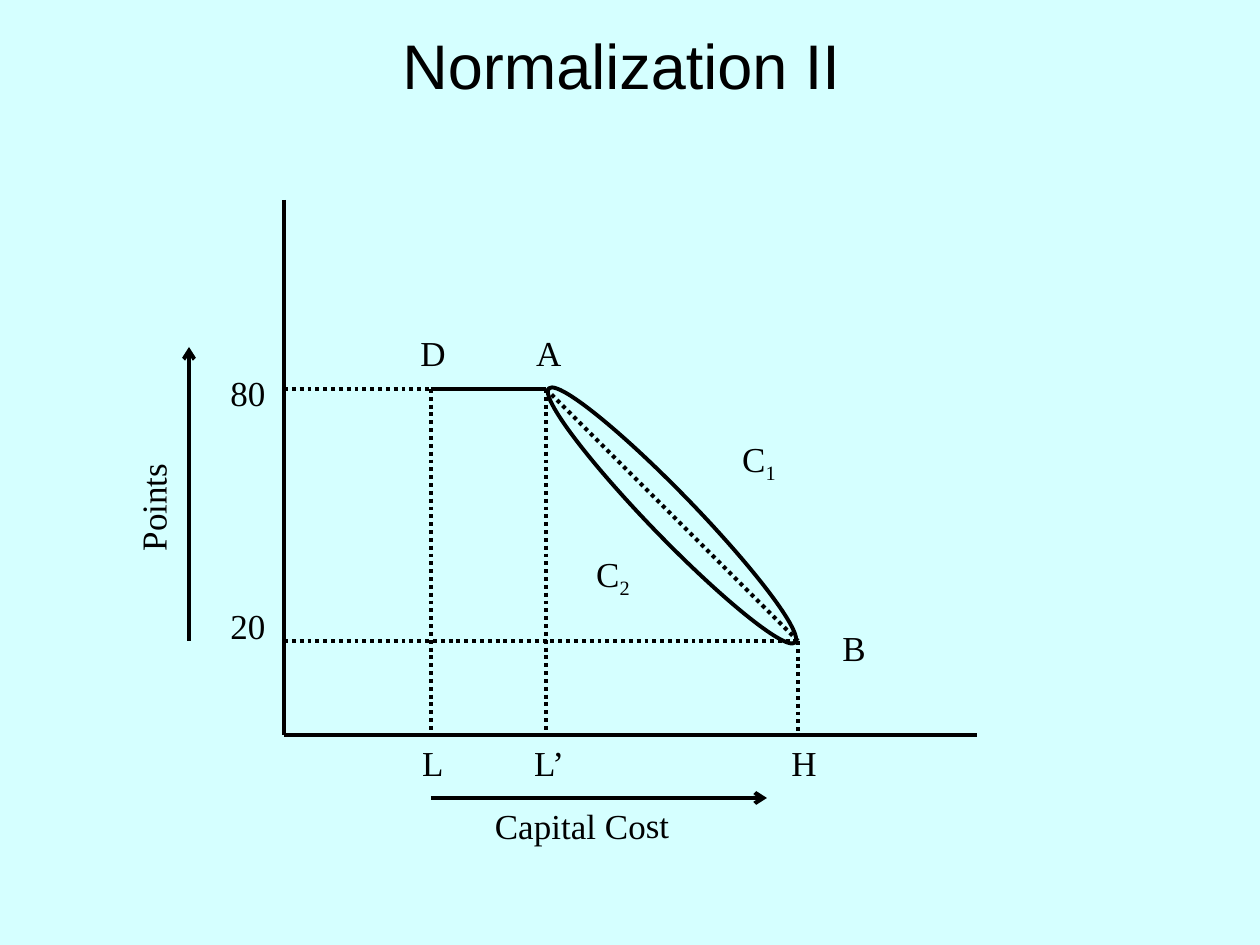
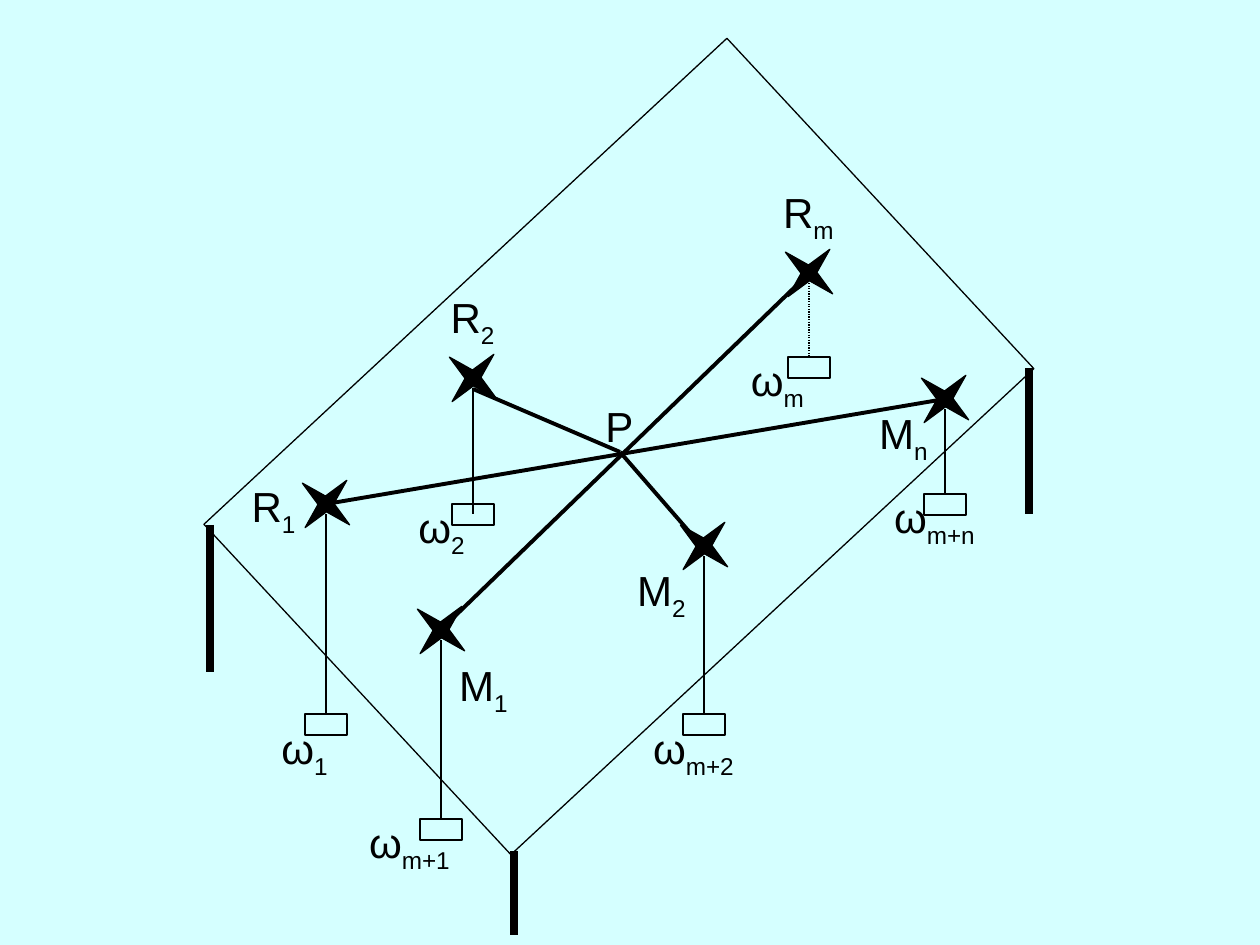
"""Build two diagram slides: a normalization chart and a weighted table."""
from dataclasses import dataclass
from itertools import pairwise

from lxml import etree
from pptx import Presentation
from pptx import util as u
from pptx.dml.color import RGBColor
from pptx.enum import dml, shapes, text
from pptx.oxml import ns


@dataclass(frozen=True)
class Theme:
    background: RGBColor = RGBColor(0xD5, 0xFF, 0xFF)
    ink: RGBColor = RGBColor(0, 0, 0)
    sans: str = "Arial"
    serif: str = "Times New Roman"
    title_size: int = 36
    chart_size: int = 20
    table_size: int = 24
    thin: float = 0.74
    medium: float = 2.24
    thick: float = 4.51


theme = Theme()
PX = u.Inches(1) / 126


def draw_line(page, x1, y1, x2, y2, width, dotted=False, arrow=False):
    line = page.shapes.add_connector(
        shapes.MSO_CONNECTOR.STRAIGHT, *[round(v * PX) for v in (x1, y1, x2, y2)])
    line.line.color.rgb = theme.ink
    line.line.width = u.Pt(width)
    if dotted:
        line.line.dash_style = dml.MSO_LINE.ROUND_DOT
    if arrow:
        outline = line.line._get_or_add_ln()
        etree.SubElement(outline, ns.qn("a:tailEnd"), type="arrow")
    etree.SubElement(line._element.spPr, ns.qn("a:effectLst"))


def add_label(page, x, y, width, height, words, font, size, anchor, subscript="", rotation=0):
    box = page.shapes.add_shape(
        shapes.MSO_SHAPE.RECTANGLE, *[round(v * PX) for v in (x, y, width, height)])
    box.shadow.inherit = False
    box.fill.background()
    box.line.fill.background()
    box.rotation = rotation
    box.text_frame.word_wrap = False
    box.text_frame.vertical_anchor = anchor
    para = box.text_frame.paragraphs[0]
    para.alignment = text.PP_ALIGN.CENTER
    for part in filter(None, (words, subscript)):
        span = para.add_run()
        span.text = part
        span.font.name = font
        span.font.size = u.Pt(size)
        span.font.color.rgb = theme.ink
    if subscript:
        span._r.get_or_add_rPr().set("baseline", "-25000")


deck = Presentation()
deck.slide_width, deck.slide_height = u.Inches(10), u.Inches(7.5)
fill = deck.slide_master.background.fill
fill.solid()
fill.fore_color.rgb = theme.background

page = deck.slides.add_slide(deck.slide_layouts[5])
title = page.shapes.title
title.left, title.top, title.width, title.height = [round(v * PX) for v in (63, 38, 1134, 53)]
title.text_frame.text = "Normalization II "
title.text_frame.auto_size = text.MSO_AUTO_SIZE.NONE
title.text_frame.vertical_anchor = text.MSO_ANCHOR.MIDDLE
para = title.text_frame.paragraphs[0]
para.alignment = text.PP_ALIGN.CENTER
para.runs[0].font.name = theme.sans
para.runs[0].font.size = u.Pt(theme.title_size)
para.runs[0].font.color.rgb = theme.ink

axis_x, axis_y = 284, 735
low_x, knee_x, high_x = 431, 546, 798
top_y, bottom_y = 389, 641

for ends in [
    (axis_x, 200, axis_x, axis_y),
    (axis_x, axis_y, 977, axis_y),
    (low_x, top_y, knee_x, top_y),
]:
    draw_line(page, *ends, theme.medium)
for ends in [
    (axis_x, top_y, low_x, top_y),
    (low_x, top_y, low_x, axis_y),
    (axis_x, bottom_y, high_x, bottom_y),
    (high_x, bottom_y, high_x, axis_y),
    (knee_x, top_y, high_x, bottom_y),
    (knee_x, top_y, knee_x, axis_y),
]:
    draw_line(page, *ends, theme.medium, dotted=True)
for ends in [(189, bottom_y, 189, 347), (low_x, 798, 767, 798)]:
    draw_line(page, *ends, theme.medium, arrow=True)

curve = page.shapes.add_shape(
    shapes.MSO_SHAPE.OVAL, *[round(v * PX) for v in (495, 493, 354, 45)])
curve.rotation = 45.9
curve.shadow.inherit = False
curve.fill.background()
curve.line.color.rgb = theme.ink
curve.line.width = u.Pt(theme.medium)

for words, subscript, center, top, width, rotation in [
    ("80", "", 248, 365, 60, 0),
    ("20", "", 248, 598, 60, 0),
    ("Points", "", 153, 480, 112, 270),
    ("Capital Cost", "", 582, 798, 199, 359.8),
    ("L", "", 433, axis_y, 46, 0),
    ("L’", "", 549, axis_y, 58, 0),
    ("H", "", 804, axis_y, 50, 0),
    ("D", "", 433, 325, 50, 0),
    ("A", "", 549, 325, 50, 0),
    ("B", "", 854, 620, 48, 0),
    ("C", "1", 759, 431, 58, 0),
    ("C", "2", 613, 546, 58, 0),
]:
    add_label(page, center - width / 2, top, width, 60 if subscript else 55, words,
              theme.serif, theme.chart_size, text.MSO_ANCHOR.TOP, subscript, rotation)

page = deck.slides.add_slide(deck.slide_layouts[6])
table_top = page.shapes.add_shape(
    shapes.MSO_SHAPE.RECTANGLE, *[round(v * PX) for v in (262, 221, 714, 451)])
table_top.rotation = 317.1
table_top.shadow.inherit = False
table_top.fill.background()
table_top.line.color.rgb = theme.ink
table_top.line.width = u.Pt(theme.thin)

for x, top, bottom in [(514, 851, 935), (1029, 368, 514), (210, 525, 672)]:
    draw_line(page, x, top, x, bottom, theme.thick)

knot = (620, 452)
for ends in [
    (798, 284, 451, 620),
    (326, 504, 945, 399),
    (*knot, 693, 536),
    (*knot, 473, 389),
]:
    draw_line(page, *ends, theme.medium)

pulleys = [
    ("R", "m", 809, 273, (777, 189), "m", 357, (357,), (746, 357)),
    ("M", "n", 945, 399, (872, 410), "m+n", 494, (452, 494), (903, 494)),
    ("R", "2", 473, 378, (441, 294), "2", 504, (514,), (410, 504)),
    ("R", "1", 326, 504, (242, 483), "1", 714, (651, 714), (273, 725)),
    ("M", "2", 704, 546, (630, 567), "m+2", 714, (672, 714), (662, 725)),
    ("M", "1", 441, 630, (452, 662), "m+1", 819, (777, 819), (378, 819)),
]
for name, index, x, y, name_at, weight_index, weight_top, cord_stops, weight_at in pulleys:
    star = page.shapes.add_shape(
        shapes.MSO_SHAPE.STAR_4_POINT, *[round(v * PX) for v in (x - 31.5, y - 31.5, 63, 63)])
    star.adjustments[0] = 0.125
    star.rotation = 41.4
    star.fill.solid()
    star.fill.fore_color.rgb = theme.ink
    for start, end in pairwise((y + 10, *cord_stops)):
        draw_line(page, x, start, x, end, theme.thin, dotted=index == "m")
    weight = page.shapes.add_shape(
        shapes.MSO_SHAPE.RECTANGLE, *[round(v * PX) for v in (x - 21, weight_top, 42, 21)])
    weight.fill.background()
    for shape in (star, weight):
        shape.shadow.inherit = False
        shape.line.color.rgb = theme.ink
        shape.line.width = u.Pt(theme.thin)
    for words, subscript, place in [(name, index, name_at), ("ω", weight_index, weight_at)]:
        add_label(page, *place, 63, 53, words, theme.sans, theme.table_size,
                  text.MSO_ANCHOR.MIDDLE, subscript)
add_label(page, 588, 399, 63, 53, "P", theme.sans, theme.table_size, text.MSO_ANCHOR.MIDDLE)

deck.save("out.pptx")
